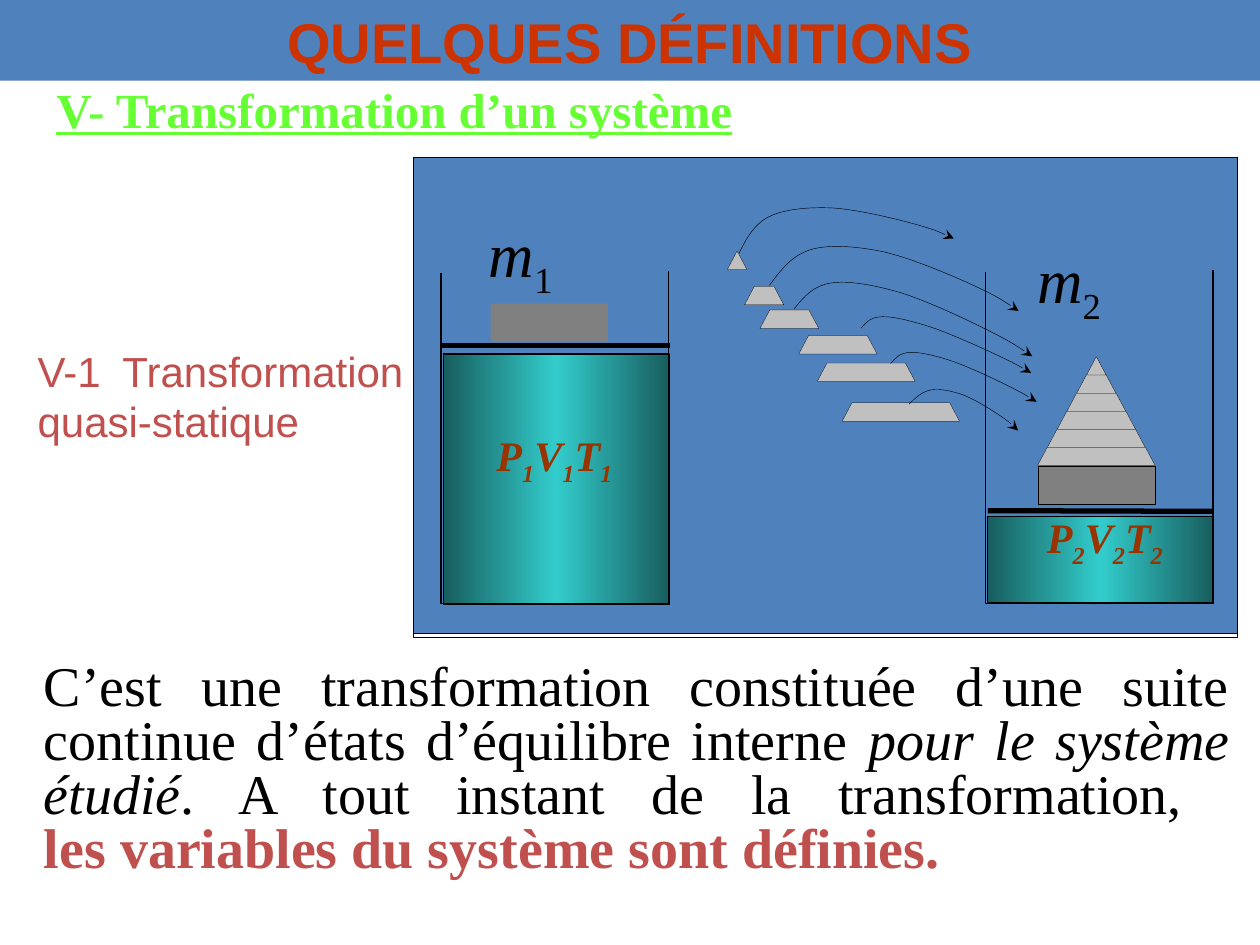
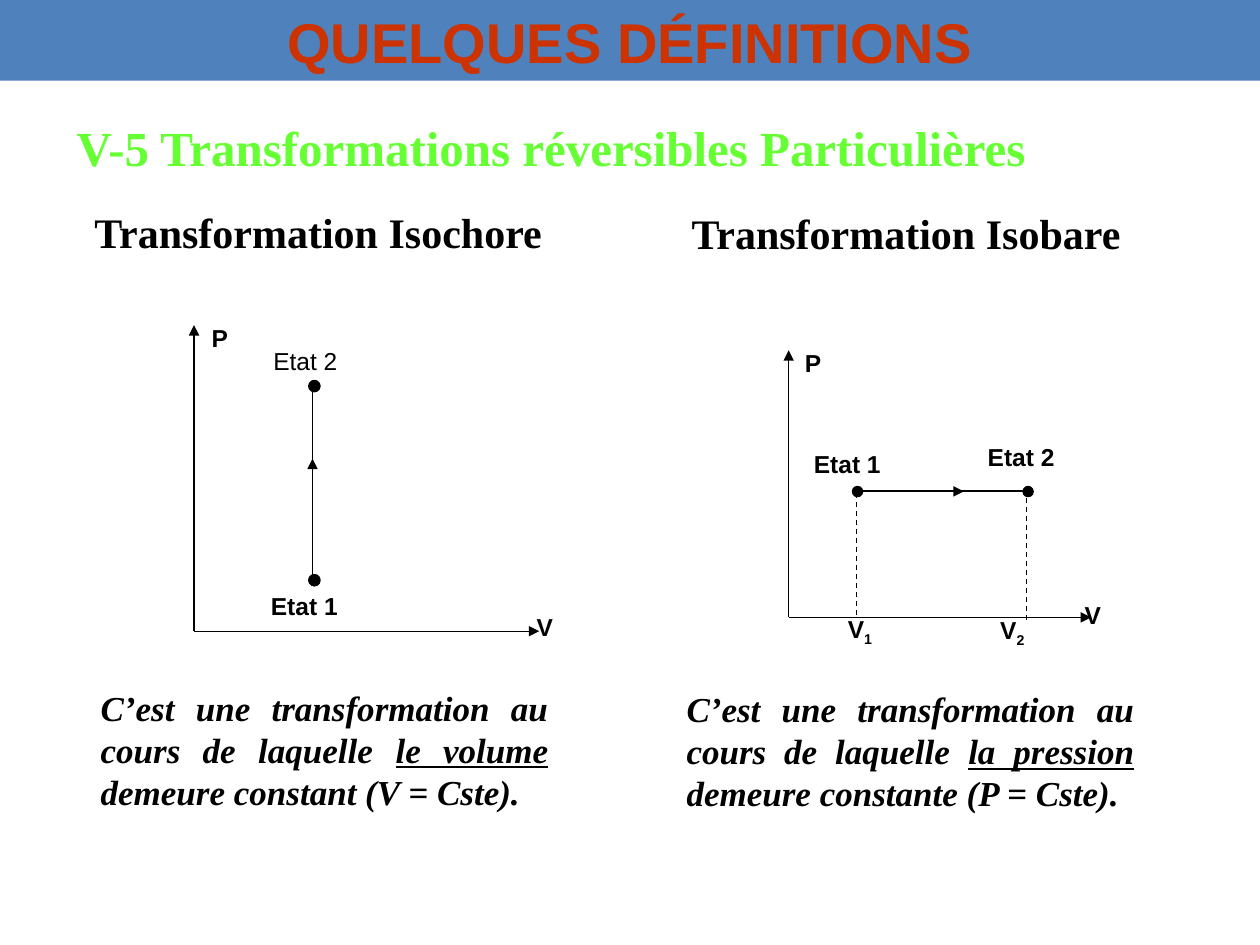
from copy import deepcopy
from dataclasses import dataclass
from typing import NamedTuple, Optional

from lxml.etree import SubElement
from pptx import Presentation
from pptx.dml.color import RGBColor
from pptx.enum.dml import MSO_LINE
from pptx.enum.shapes import MSO_CONNECTOR, MSO_SHAPE
from pptx.enum.text import MSO_ANCHOR, MSO_AUTO_SIZE, PP_ALIGN
from pptx.oxml.ns import qn
from pptx.util import Pt


# Theme: colours, fonts, type styles
@dataclass(frozen=True)
class Style:
    font: str
    size: float
    color: str = "000000"
    bold: bool = False
    italic: bool = False
    margins: tuple = (7.2, 3.6)
    align: PP_ALIGN = PP_ALIGN.LEFT
    line_spacing: Optional[float] = None


SERIF, SANS = "Times New Roman", "Arial"


@dataclass(frozen=True)
class Theme:
    blue: str = "4F81BD"
    black: str = "000000"
    red: str = "C0504D"
    piston: str = "808080"
    slab: str = "C0C0C0"
    gas: tuple = ("185E5E", "33CCCC", "185E5E")
    title: Style = Style(SANS, 32, "CC3300", bold=True, align=PP_ALIGN.CENTER)
    heading: Style = Style(SERIF, 28, "66FF33", bold=True)
    aside: Style = Style(SANS, 24, "C0504D")
    body: Style = Style(SERIF, 32, align=PP_ALIGN.JUSTIFY, line_spacing=0.8)
    state: Style = Style(SERIF, 24, "993300", True, True, (6.5, 3))
    mass: Style = Style(SERIF, 36, italic=True, margins=(6.5, 3))
    subtitle: Style = Style(SERIF, 24, bold=True)
    definition: Style = Style(SERIF, 20, bold=True, italic=True, align=PP_ALIGN.JUSTIFY)
    mark: Style = Style(SANS, 14, bold=True, margins=(5, 2.2))
    plain_mark: Style = Style(SANS, 14, margins=(5, 2.2))


THEME = Theme()


class Span(NamedTuple):
    text: str
    bold: Optional[bool] = None
    italic: Optional[bool] = None
    underline: bool = False
    color: Optional[str] = None
    lowered: bool = False
    break_before: bool = False


class Label(NamedTuple):
    left: float
    top: float
    width: float
    height: float
    style: Style
    spans: list


class Arc(NamedTuple):
    left: float
    top: float
    width: float
    height: float
    turn: float


class Segment(NamedTuple):
    x1: float
    y1: float
    x2: float
    y2: float
    weight: float = 0.75
    arrow: bool = False
    dashed: bool = False


class Cylinder(NamedTuple):
    left: float
    wall_top: float
    gas_top: float
    gas_height: float
    lid: Segment


# Text
def write(shape, style: Style, spans: list) -> None:
    frame = shape.text_frame
    frame.word_wrap = True
    frame.auto_size = MSO_AUTO_SIZE.NONE
    frame.margin_left = frame.margin_right = Pt(style.margins[0])
    frame.margin_top = frame.margin_bottom = Pt(style.margins[1])
    para = frame.paragraphs[0]
    para.alignment = style.align
    if style.line_spacing:
        para.line_spacing = style.line_spacing
    for span in spans:
        if span.break_before:
            para.add_line_break()
        run = para.add_run()
        run.text = span.text
        font = run.font
        font.name, font.size = style.font, Pt(style.size)
        font.bold = style.bold if span.bold is None else span.bold
        font.italic = style.italic if span.italic is None else span.italic
        font.underline = span.underline
        font.color.rgb = RGBColor.from_string(span.color or style.color)
        if span.lowered:
            font._element.set("baseline", "-25000")


def add_label(page, label: Label):
    box = page.shapes.add_textbox(*map(Pt, label[:4]))
    write(box, label.style, label.spans)
    return box


def indexed(letters: str, index: str, upright: bool = False) -> list:
    lowered = Span(index, italic=False if upright else None, lowered=True)
    return [span for letter in letters for span in (Span(letter), lowered)]


# Shapes and lines
def paint(shape, fill: Optional[str], weight: float) -> None:
    shape.shadow.inherit = False
    if fill:
        shape.fill.solid()
        shape.fill.fore_color.rgb = RGBColor.from_string(fill)
    else:
        shape.fill.background()
    if weight:
        ink(shape, weight)
    else:
        shape.line.fill.background()


def ink(shape, weight: float, arrow: str = "", dashed: bool = False) -> None:
    shape.line.width = Pt(weight)
    shape.line.color.rgb = RGBColor.from_string(THEME.black)
    if dashed:
        shape.line.dash_style = MSO_LINE.DASH
    if arrow:
        SubElement(shape.element.spPr.find(qn("a:ln")), qn("a:tailEnd"), type=arrow)


def add_block(page, left: float, top: float, width: float, height: float,
              fill: Optional[str], weight: float = 0.75, kind=MSO_SHAPE.RECTANGLE):
    block = page.shapes.add_shape(kind, *map(Pt, (left, top, width, height)))
    paint(block, fill, weight)
    return block


def add_segment(page, segment: Segment) -> None:
    line = page.shapes.add_connector(MSO_CONNECTOR.STRAIGHT, *map(Pt, segment[:4]))
    ink(line, segment.weight, "triangle" if segment.arrow else "", segment.dashed)
    SubElement(line.element.spPr, qn("a:effectLst"))


def add_outline(page, points: list, closed: bool, fill: Optional[str], weight: float):
    corners = [(Pt(x), Pt(y)) for x, y in points]
    builder = page.shapes.build_freeform(*corners[0])
    builder.add_line_segments(corners[1:], close=closed)
    outline = builder.convert_to_shape()
    paint(outline, fill, weight)
    return outline


# Parts of the piston drawing
SLAB_HEIGHT, SLAB_STEP, SLAB_WIDTH, SLAB_SHRINK = 10.5, 10.3, 67, 11.15
ARC_POINTS = [(0, 1), (0.01, 0.81), (0.02, 0.64), (0.08, 0.5), (0.14, 0.36),
              (0.25, 0.25), (0.36, 0.17), (0.48, 0.09), (0.67, 0.04),
              (0.78, 0.02), (0.89, 0), (0.94, 0.01), (1, 0.02)]


def add_slab(page, center: float, bottom: float, level: int) -> None:
    half = (SLAB_WIDTH - level * SLAB_SHRINK) / 2
    top_half = half - SLAB_SHRINK / 2
    top = bottom - SLAB_HEIGHT
    add_outline(page, [(center - half, bottom), (center + half, bottom),
                       (center + top_half, top), (center - top_half, top)],
                True, THEME.slab, 0.14)


def add_arc(page, arc: Arc) -> None:
    points = [(arc.left + u * arc.width, arc.top + v * arc.height) for u, v in ARC_POINTS]
    outline = add_outline(page, points, False, None, 0.25)
    # Every three straight steps become one Bézier curve
    steps = outline.element.findall(".//" + qn("a:lnTo"))
    for start in range(0, len(steps), 3):
        curve = SubElement(steps[start].getparent(), qn("a:cubicBezTo"))
        for step in steps[start:start + 3]:
            curve.append(step[0])
            step.getparent().remove(step)
    outline.rotation = arc.turn
    ink(outline, 0.25, "stealth")


def add_cylinder(page, cylinder: Cylinder) -> None:
    left, top, width, floor = cylinder.left, cylinder.wall_top, 130.2, 345
    gas = add_block(page, left + 1.4, cylinder.gas_top, 128.9, cylinder.gas_height, THEME.blue)
    gas.fill.gradient()
    gas.fill.gradient_angle = 0
    stops = gas.element.find(".//" + qn("a:gsLst"))
    stops.append(deepcopy(stops[0]))
    for place, (stop, color) in enumerate(zip(gas.fill.gradient_stops, THEME.gas)):
        stop.position = place / 2
        stop.color.rgb = RGBColor.from_string(color)
    add_outline(page, [(left, top + 1.5), (left, floor), (left + width, floor),
                       (left + width, top)], False, None, 0.75)
    add_segment(page, cylinder.lid)


# Pages
def new_page(deck):
    page = deck.slides.add_slide(deck.slide_layouts[5])
    band = page.shapes.title
    band.left, band.top, band.width, band.height = map(Pt, (0, -2.16, 720, 48.24))
    band.fill.solid()
    band.fill.fore_color.rgb = RGBColor.from_string(THEME.blue)
    write(band, THEME.title, [Span("QUELQUES DÉFINITIONS")])
    band.text_frame.vertical_anchor = MSO_ANCHOR.BOTTOM
    return page


def quasi_static_page(deck) -> None:
    page = new_page(deck)
    # Panel
    for height, fill in ((272.2, THEME.blue), (274.3, None)):
        add_block(page, 236.2, 90, 470.9, height, fill)

    # Loose slabs and their flight to the second piston
    loose = [(514.8, 240.7), (495, 217.9), (478.8, 202.3),
             (451.1, 187.7), (436.7, 174.2), (421.2, 154.1)]
    for level, (center, bottom) in enumerate(loose):
        add_slab(page, center, bottom, level)
    for arc in [Arc(445.7, 140.4, 131, 59, 29.7), Arc(456.5, 166.3, 131, 46.8, 30.5),
                Arc(427.7, 114.5, 112.3, 51.1, 20.1), Arc(491.8, 188.6, 97.9, 23, 27.7),
                Arc(509, 207.4, 83.5, 22.3, 29.3), Arc(522, 223.9, 57.6, 28.8, 39.7)]:
        add_arc(page, arc)

    # Cylinders, pistons and stacked slabs
    for cylinder in [Cylinder(252, 154.8, 202.3, 143.3, Segment(252, 197.3, 383, 197.3, 3)),
                     Cylinder(563, 154.1, 295.2, 49, Segment(564.5, 291.8, 692.8, 292.2, 3))]:
        add_cylinder(page, cylinder)
    add_block(page, 280.4, 173.5, 67, 21.8, THEME.piston, 0)
    add_block(page, 593.3, 266.4, 67, 21.6, THEME.piston, 0.14)
    for level in range(len(loose)):
        add_slab(page, 626.5, 265.9 - level * SLAB_STEP, level)

    for label in [
        Label(277.2, 242.6, 82.8, 67.7, THEME.state, indexed("PVT", "1")),
        Label(272.9, 119.5, 82.8, 67.7, THEME.mass, indexed("m", "1", True)),
        Label(591.8, 289.4, 82.8, 67.7, THEME.state, indexed("PVT", "2")),
        Label(586.1, 134.6, 82.8, 67.7, THEME.mass, indexed("m", "2", True)),
        Label(25.2, 41.8, 470.9, 41, THEME.heading,
              [Span("V- Transformation d’un système", underline=True)]),
        Label(18, 375.8, 691.9, 130.3, THEME.body, [
            Span("C’est une transformation constituée d’une suite continue "
                 "d’états d’équilibre interne "),
            Span("pour le système étudié", italic=True),
            Span(". A tout instant de la transformation, "),
            Span("les variables du système sont définies.", bold=True,
                 color=THEME.red, break_before=True)]),
    ]:
        add_label(page, label)
    aside = add_label(page, Label(14.4, 193.7, 226.8, 64.8, THEME.aside,
                                  [Span("V-1\tTransformation quasi-statique")]))
    tabs = SubElement(aside.text_frame.paragraphs[0]._p.get_or_add_pPr(), qn("a:tabLst"))
    SubElement(tabs, qn("a:tab"), pos=str(Pt(48.5)), algn="l")


def reversible_page(deck) -> None:
    page = new_page(deck)
    add_label(page, Label(36.7, 63.4, 613.4, 41, THEME.heading,
                          [Span("V-5 Transformations réversibles Particulières")]))
    # Subtitles and definitions
    for left, top, name, text_left, constant, ending in [
        (46.8, 114.5, "Isochore", 50.4, "le volume", " demeure constant (V = Cste)."),
        (388.1, 115.2, "Isobare", 385.2, "la pression", " demeure constante (P = Cste)."),
    ]:
        add_label(page, Label(left, top, 277.2, 36, THEME.subtitle,
                              [Span(f"Transformation {name}")]))
        add_label(page, Label(text_left, top + 274.3, 270, 79.2, THEME.definition, [
            Span("C’est une transformation au cours de laquelle "),
            Span(constant, underline=True), Span(ending)]))

    # Axes, paths between states, and dropped lines
    for segment in [
        Segment(110.9, 360.7, 110.9, 185.8, arrow=True),
        Segment(110.9, 360.7, 308.2, 360.7, arrow=True),
        Segment(178.6, 330.5, 178.6, 221, 1),
        Segment(178.6, 295.9, 178.6, 262.1, arrow=True),
        Segment(450.7, 352.8, 450.7, 200.2, arrow=True),
        Segment(450.7, 352.8, 623.5, 352.8, arrow=True),
        Segment(491.8, 280.6, 586.8, 280.6, 1),
        Segment(522.7, 280.8, 550.8, 280.8, arrow=True),
        Segment(489.6, 281.5, 489.6, 352.1, dashed=True),
        Segment(586.8, 284.4, 586.8, 355, dashed=True),
    ]:
        add_segment(page, segment)
    for left, top, size in [(176.4, 328.3, 6.5), (176.4, 217.4, 6.5),
                            (487.1, 278, 5.8), (584.6, 278, 5.8)]:
        add_block(page, left, top, size, size, THEME.black, kind=MSO_SHAPE.OVAL)

    # Marks on the diagrams
    for left, top, width, text in [
        (149.8, 335.5, 62, "Etat 1"), (301.7, 347.8, 37.4, "V"), (115.9, 182.2, 33.1, "P"),
        (460.1, 254.2, 54, "Etat 1"), (559.4, 250.6, 54, "Etat 2"),
        (614.9, 340.6, 33.8, "V"), (455, 196.6, 37.4, "P"),
    ]:
        add_label(page, Label(left, top, width, 22, THEME.mark, [Span(text)]))
    add_label(page, Label(151.2, 195.8, 62, 22, THEME.plain_mark, [Span("Etat 2")]))
    for left, top, index in [(479.5, 348.5, "1"), (566.6, 349.2, "2")]:
        add_label(page, Label(left, top, 40.3, 27.4, THEME.mark, indexed("V", index)))


def main() -> None:
    deck = Presentation()
    deck.slide_width, deck.slide_height = Pt(720), Pt(540)
    quasi_static_page(deck)
    reversible_page(deck)
    deck.save("out.pptx")


if __name__ == "__main__":
    main()
